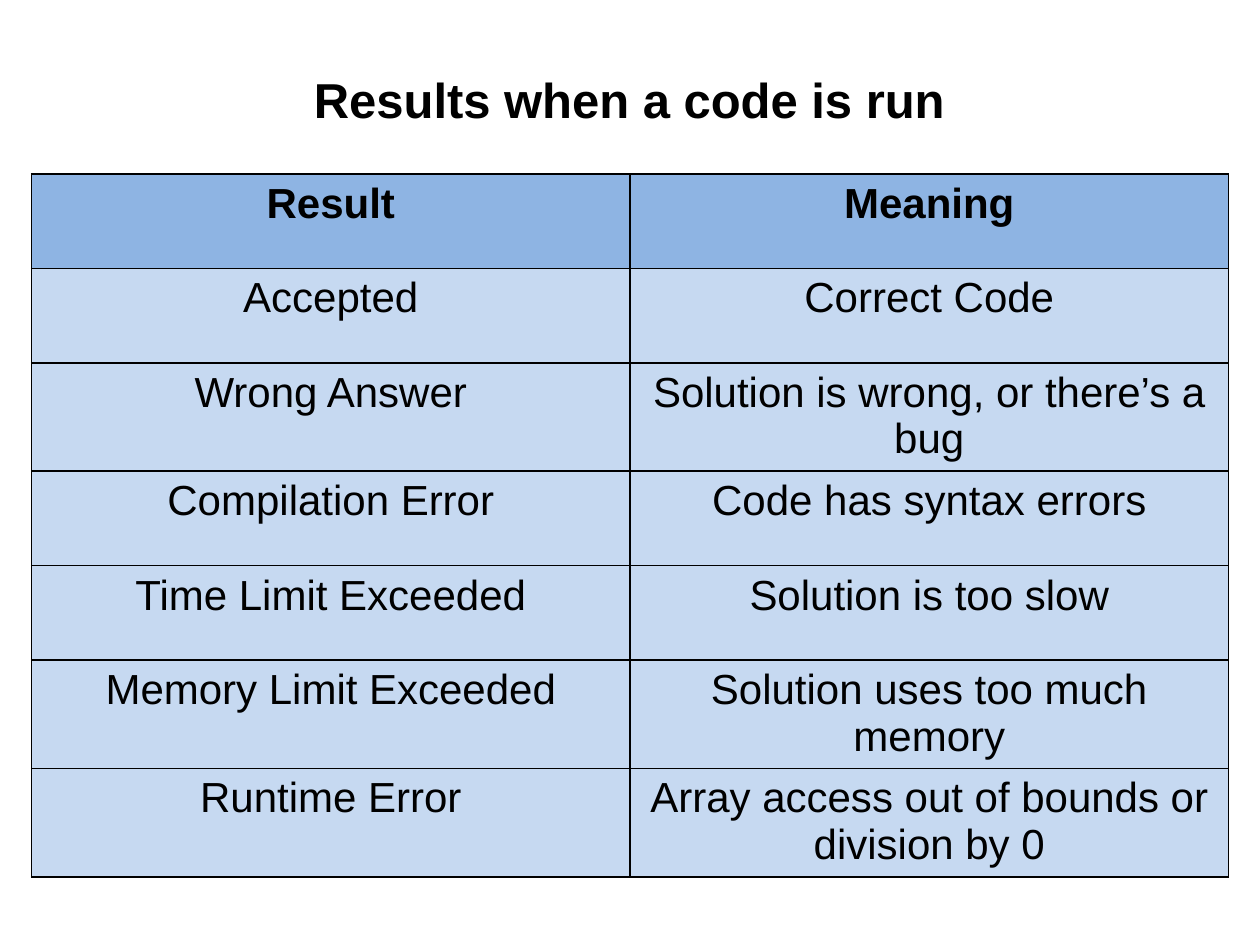
from lxml import etree
from pptx import Presentation
from pptx.dml.color import RGBColor
from pptx.enum.text import MSO_AUTO_SIZE, PP_ALIGN
from pptx.oxml.ns import qn
from pptx.util import Inches, Pt

CENTER = PP_ALIGN.CENTER
FIT_SHAPE = MSO_AUTO_SIZE.SHAPE_TO_FIT_TEXT

TITLE = "Results when a code is run"
# Row height in inches, result, meaning
ROWS = [
    (0.75, "Result", "Meaning"),
    (0.75, "Accepted", "Correct Code"),
    (0.86, "Wrong Answer", "Solution is wrong, or there’s a bug"),
    (0.75, "Compilation Error", "Code has syntax errors"),
    (0.75, "Time Limit Exceeded", "Solution is too slow"),
    (0.86, "Memory Limit Exceeded", "Solution uses too much memory"),
    (0.86, "Runtime Error", "Array access out of bounds or division by 0"),
]
COLORS = {"text": "000000", "border": "000000", "header": "8EB4E3", "body": "C6D9F1"}
TITLE_FORMAT = {"name": "Arial", "size": Pt(28), "bold": True}
HEADER_FORMAT = {"name": "Arial", "size": Pt(24), "bold": True}
BODY_FORMAT = {**HEADER_FORMAT, "bold": False}
COLUMN_WIDTH = 4.75


def write_text(frame, text, font_format):
    para = frame.paragraphs[0]
    para.alignment = CENTER
    span = para.add_run()
    span.text = text
    for name, value in font_format.items():
        setattr(span.font, name, value)
    span.font.color.rgb = RGBColor.from_string(COLORS["text"])


def add_borders(cell):
    properties = cell._tc.get_or_add_tcPr()
    for position, side in enumerate(("lnL", "lnR", "lnT", "lnB")):
        line = etree.Element(qn(f"a:{side}"), w=str(Pt(1)))
        fill = etree.SubElement(line, qn("a:solidFill"))
        etree.SubElement(fill, qn("a:srgbClr"), val=COLORS["border"])
        properties.insert(position, line)


def add_title(slide):
    box = slide.shapes.add_textbox(Inches(2.36), Inches(0.5), Inches(5.27), Inches(0.57))
    box.text_frame.word_wrap = False
    box.text_frame.auto_size = FIT_SHAPE
    write_text(box.text_frame, TITLE, TITLE_FORMAT)


def add_results_table(slide):
    column_count = len(ROWS[0]) - 1
    total_height = sum(row[0] for row in ROWS)
    table = slide.shapes.add_table(
        len(ROWS), column_count, Inches(0.25), Inches(1.38),
        Inches(COLUMN_WIDTH * column_count), Inches(total_height),
    ).table
    for row_index, (height, *texts) in enumerate(ROWS):
        is_header = row_index == 0
        table.rows[row_index].height = Inches(height)
        for column_index, text in enumerate(texts):
            cell = table.cell(row_index, column_index)
            cell.fill.solid()
            fill_color = COLORS["header" if is_header else "body"]
            cell.fill.fore_color.rgb = RGBColor.from_string(fill_color)
            add_borders(cell)
            write_text(cell.text_frame, text, HEADER_FORMAT if is_header else BODY_FORMAT)


def main():
    deck = Presentation()
    deck.slide_width, deck.slide_height = Inches(10), Inches(7.5)
    slide = deck.slides.add_slide(deck.slide_layouts[6])
    add_results_table(slide)
    add_title(slide)
    deck.save("out.pptx")


if __name__ == "__main__":
    main()
